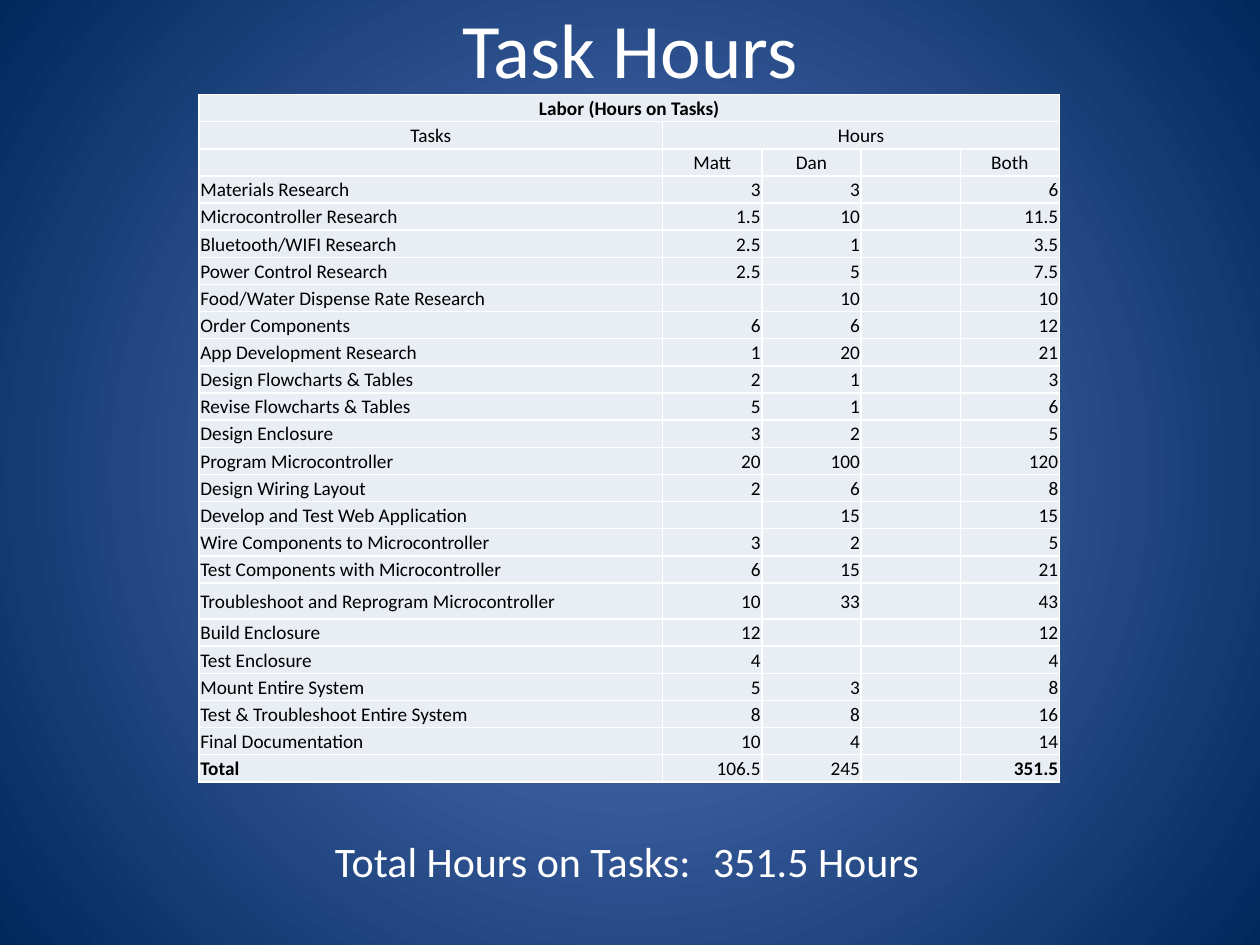
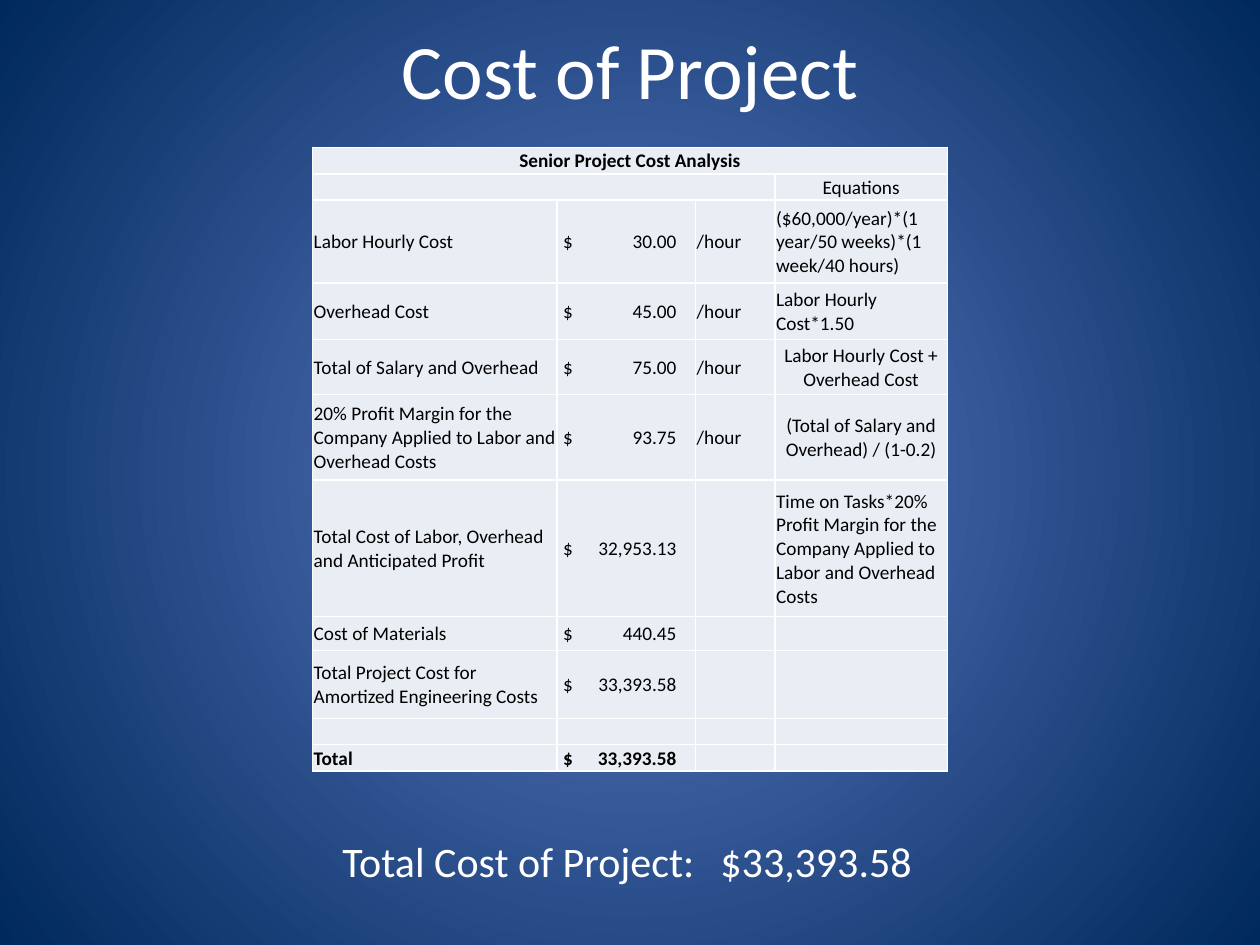
from dataclasses import dataclass

from lxml.etree import SubElement
from pptx import Presentation
from pptx.dml.color import RGBColor
from pptx.enum.text import MSO_ANCHOR, MSO_AUTO_SIZE, PP_ALIGN
from pptx.oxml import parse_xml
from pptx.oxml.ns import nsdecls, qn
from pptx.util import Emu, Inches, Pt

COLORS = {
    "glow": "5E7CC5",
    "edge": "00295C",
    "light": "FFFFFF",
    "ink": "000000",
    "cell": "E9EDF4",
}
FONT = "Calibri"
UNIT = Inches(0.1)  # the slide is a grid of 100 columns by 75 rows
ALIGNMENTS = {"l": PP_ALIGN.LEFT, "c": PP_ALIGN.CENTER, "r": PP_ALIGN.RIGHT}


@dataclass(frozen=True)
class Area:
    """Place on the slide grid, in columns and rows."""
    left: float
    top: float
    width: float
    height: float

    def lengths(self) -> list[Emu]:
        return [Emu(round(n * UNIT))
                for n in (self.left, self.top, self.width, self.height)]


@dataclass(frozen=True)
class TableSpec:
    area: Area
    rows: list[list[str]]
    column_weights: list[float]
    row_weights: list[float]
    alignments: str                          # one letter per column
    header_rows: int                         # centred rows at the top
    merges: list[tuple[int, int, int]]       # row, first column, last column
    bold: set[tuple[int, int]]
    centered: set[tuple[int, int]]


@dataclass(frozen=True)
class PageSpec:
    title: str
    title_top: float
    table: TableSpec
    summary: str
    summary_left: float
    summary_width: float


# Task hours: task, Matt, Dan
TASKS = [
    ("Materials Research", 3, 3),
    ("Microcontroller Research", 1.5, 10),
    ("Bluetooth/WIFI Research", 2.5, 1),
    ("Power Control Research", 2.5, 5),
    ("Food/Water Dispense Rate Research", 0, 10),
    ("Order Components", 6, 6),
    ("App Development Research", 1, 20),
    ("Design Flowcharts & Tables", 2, 1),
    ("Revise Flowcharts & Tables", 5, 1),
    ("Design Enclosure", 3, 2),
    ("Program Microcontroller", 20, 100),
    ("Design Wiring Layout", 2, 6),
    ("Develop and Test Web Application", 0, 15),
    ("Wire Components to Microcontroller", 3, 2),
    ("Test Components with Microcontroller", 6, 15),
    ("Troubleshoot and Reprogram Microcontroller", 10, 33),
    ("Build Enclosure", 12, 0),
    ("Test Enclosure", 4, 0),
    ("Mount Entire System", 5, 3),
    ("Test & Troubleshoot Entire System", 8, 8),
    ("Final Documentation", 10, 4),
]


def hours_row(task: str, matt: float, dan: float) -> list[str]:
    matt_text, dan_text, both_text = (
        f"{hours:g}" if hours else "" for hours in (matt, dan, matt + dan))
    return [task, matt_text, dan_text, "", both_text]


TOTALS = ("Total", sum(task[1] for task in TASKS), sum(task[2] for task in TASKS))
HOURS_ROWS = [
    ["Labor (Hours on Tasks)", "", "", "", ""],
    ["Tasks", "Hours", "", "", ""],
    ["", "Matt", "Dan", "", "Both"],
    *[hours_row(*task) for task in [*TASKS, TOTALS]],
]
HOURS_TABLE = TableSpec(
    area=Area(15.8, 7.5, 68.3, 54.6),
    rows=HOURS_ROWS,
    column_weights=[3.69, 0.79, 0.79, 0.79, 0.79],
    row_weights=[1.33 if row[0].startswith("Troubleshoot") else 1
                 for row in HOURS_ROWS],
    alignments="lrrrr",
    header_rows=3,
    merges=[(0, 0, 4), (1, 1, 4)],
    bold={(0, 0), (24, 0), (24, 4)},
    centered=set(),
)

# Project cost: item, amount, rate, equation
COST_TABLE = TableSpec(
    area=Area(24.8, 11.7, 50.4, 49.5),
    rows=[
        ["Senior Project Cost Analysis", "", "", ""],
        ["", "", "", "Equations"],
        ["Labor Hourly Cost", "$\t30.00", "/hour",
         "($60,000/year)*(1 year/50 weeks)*(1 week/40 hours)"],
        ["Overhead Cost", "$\t45.00", "/hour", "Labor Hourly Cost*1.50"],
        ["Total of Salary and Overhead", "$\t75.00", "/hour",
         "Labor Hourly Cost + Overhead Cost"],
        ["20% Profit Margin for the Company Applied to Labor and Overhead Costs",
         "$\t93.75", "/hour", "(Total of Salary and Overhead) / (1-0.2)"],
        ["Total Cost of Labor, Overhead and Anticipated Profit", "$\t32,953.13", "",
         "Time on Tasks*20% Profit Margin for the Company Applied to Labor "
         "and Overhead Costs"],
        ["Cost of Materials", "$\t440.45", "", ""],
        ["Total Project Cost for Amortized Engineering Costs", "$\t33,393.58", "", ""],
        ["", "", "", ""],
        ["Total", "$\t33,393.58", "", ""],
    ],
    column_weights=[1.94, 1.1, 0.63, 1.37],
    row_weights=[0.21, 0.21, 0.66, 0.45, 0.44, 0.68, 1.09, 0.27, 0.54, 0.21, 0.21],
    alignments="llll",
    header_rows=2,
    merges=[(0, 0, 3), (1, 0, 2)],
    bold={(0, 0), (10, 0), (10, 1)},
    centered={(4, 3), (5, 3)},
)

PAGES = [
    PageSpec("Task Hours", -2.5, HOURS_TABLE,
             "Total Hours on Tasks: \t351.5 Hours", 25.6, 48.8),
    PageSpec("Cost of Project", -0.8, COST_TABLE,
             "Total Cost of Project:\t$33,393.58", 26.2, 47.6),
]


def set_background(master) -> None:
    """Radial gradient that every slide inherits."""
    content = master.element.find(qn("p:cSld"))
    for old in content.findall(qn("p:bg")):
        content.remove(old)
    content.insert(0, parse_xml(
        f'<p:bg {nsdecls("p", "a")}><p:bgPr><a:gradFill rotWithShape="1"><a:gsLst>'
        f'<a:gs pos="0"><a:srgbClr val="{COLORS["glow"]}"/></a:gs>'
        f'<a:gs pos="100000"><a:srgbClr val="{COLORS["edge"]}"/></a:gs></a:gsLst>'
        '<a:path path="circle">'
        '<a:fillToRect l="50000" t="50000" r="50000" b="50000"/></a:path>'
        '</a:gradFill><a:effectLst/></p:bgPr></p:bg>'))


def style_text(para, size: float, color: str, bold: bool = False) -> None:
    for span in para.runs:
        span.font.name = FONT
        span.font.size = Pt(size)
        span.font.bold = bold
        span.font.color.rgb = RGBColor.from_string(COLORS[color])


def add_text(page, area: Area, text: str, size: float):
    box = page.shapes.add_textbox(*area.lengths())
    frame = box.text_frame
    frame.text = text
    style_text(frame.paragraphs[0], size, "light")
    return frame


def add_title(page, text: str, top: float) -> None:
    frame = add_text(page, Area(5, top, 90, 12.5), text, 44)
    frame.word_wrap = True
    frame.vertical_anchor = MSO_ANCHOR.MIDDLE
    frame.paragraphs[0].alignment = PP_ALIGN.CENTER


def add_summary(page, text: str, left: float, width: float) -> None:
    frame = add_text(page, Area(left, 65.8, width, 5), text, 24)
    frame.word_wrap = False
    frame.auto_size = MSO_AUTO_SIZE.SHAPE_TO_FIT_TEXT


def set_borders(cell) -> None:
    properties = cell._tc.get_or_add_tcPr()
    for index, side in enumerate(("lnL", "lnR", "lnT", "lnB")):
        properties.insert(index, parse_xml(
            f'<a:{side} {nsdecls("a")} w="{Pt(1)}"><a:solidFill>'
            f'<a:srgbClr val="{COLORS["light"]}"/></a:solidFill></a:{side}>'))


def fill_cell(cell, text: str, alignment: str, bold: bool) -> None:
    cell.fill.solid()
    cell.fill.fore_color.rgb = RGBColor.from_string(COLORS["cell"])
    set_borders(cell)
    cell.vertical_anchor = MSO_ANCHOR.MIDDLE
    cell.margin_left = cell.margin_right = cell.margin_top = Inches(0.01)
    cell.margin_bottom = 0
    para = cell.text_frame.paragraphs[0]
    para.text = text
    para.alignment = ALIGNMENTS[alignment]
    if "\t" in text:  # amounts end at a right tab stop
        cell.margin_left = Inches(0.05)
        stops = SubElement(para._p.get_or_add_pPr(), qn("a:tabLst"))
        SubElement(stops, qn("a:tab"), pos=str(Inches(0.9)), algn="r")
    if not text:  # keeps empty rows as low as the others
        SubElement(para._p, qn("a:endParaRPr"), sz="1100")
    style_text(para, 11, "ink", bold)


def share_out(lines, weights: list[float], total: int, measure: str) -> None:
    for line, weight in zip(lines, weights):
        setattr(line, measure, Emu(round(total * weight / sum(weights))))


def add_data_table(page, spec: TableSpec) -> None:
    left, top, width, height = spec.area.lengths()
    table = page.shapes.add_table(len(spec.rows), len(spec.alignments),
                                  left, top, width, height).table
    table.first_row = table.horz_banding = False
    share_out(table.columns, spec.column_weights, width, "width")
    share_out(table.rows, spec.row_weights, height, "height")
    for row, texts in enumerate(spec.rows):
        for column, text in enumerate(texts):
            place = (row, column)
            centered = row < spec.header_rows or place in spec.centered
            fill_cell(table.cell(row, column), text,
                      "c" if centered else spec.alignments[column],
                      place in spec.bold)
    for row, first, last in spec.merges:
        table.cell(row, first).merge(table.cell(row, last))


def main() -> None:
    deck = Presentation()
    deck.slide_width, deck.slide_height = 100 * UNIT, 75 * UNIT
    set_background(deck.slide_master)
    for spec in PAGES:
        page = deck.slides.add_slide(deck.slide_layouts[6])
        add_title(page, spec.title, spec.title_top)
        add_data_table(page, spec.table)
        add_summary(page, spec.summary, spec.summary_left, spec.summary_width)
    deck.save("out.pptx")


if __name__ == "__main__":
    main()
